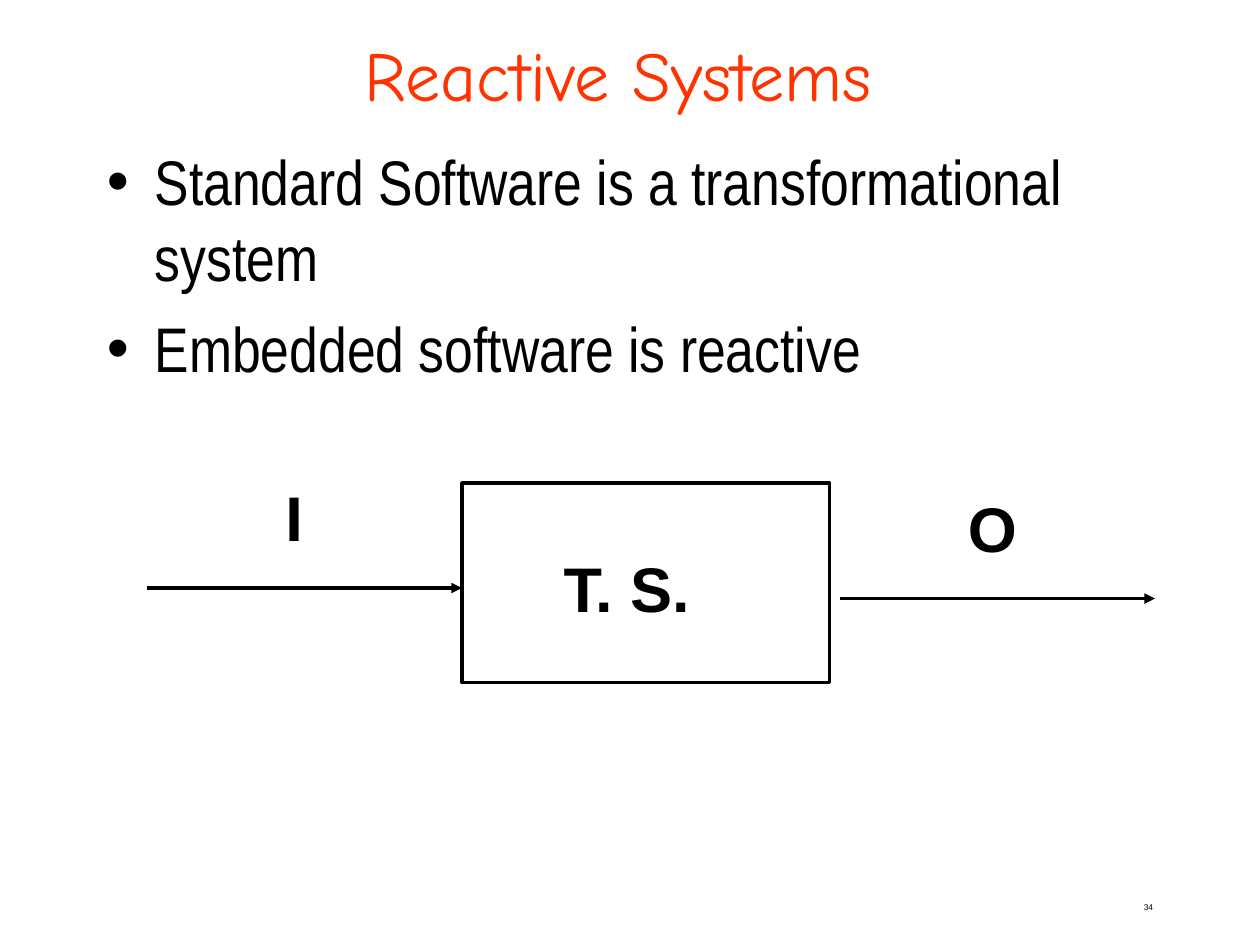
from lxml.etree import SubElement
from pptx import Presentation
from pptx.dml.color import RGBColor
from pptx.enum.shapes import MSO_CONNECTOR, MSO_SHAPE
from pptx.enum.text import MSO_ANCHOR, MSO_AUTO_SIZE, PP_ALIGN
from pptx.oxml.ns import qn
from pptx.util import Inches, Pt

BLACK = RGBColor(0x00, 0x00, 0x00)
ORANGE_RED = RGBColor(0xFF, 0x33, 0x00)
TITLE_FONT, BODY_FONT, LABEL_FONT = "Comic Neue", "Arial Narrow", "Arial"

COLUMNS, ROWS = 120, 90  # grid cells across and down the slide
CELL = Inches(10) / COLUMNS


def grid(*cells):
    """Turn columns and rows into slide lengths."""
    return [round(cell * CELL) for cell in cells]


def write(paragraph, text, font=LABEL_FONT, size=36, color=BLACK, bold=False,
          align=PP_ALIGN.LEFT, line_spacing=None):
    paragraph.alignment = align
    if line_spacing:
        paragraph.line_spacing = line_spacing
    run = paragraph.add_run()
    run.text = text
    run.font.name = font
    run.font.size = Pt(size)
    run.font.color.rgb = color
    run.font.bold = bold


def add_text_frame(slide, box, wrap=True):
    frame = slide.shapes.add_textbox(*grid(*box)).text_frame
    frame.word_wrap = wrap
    return frame


def add_label(slide, box, text, wrap=True):
    frame = add_text_frame(slide, box, wrap)
    frame.auto_size = MSO_AUTO_SIZE.SHAPE_TO_FIT_TEXT
    write(frame.paragraphs[0], text, bold=True)


def add_bullet(paragraph, indent):
    properties = paragraph._p.get_or_add_pPr()
    properties.set("marL", str(indent))
    properties.set("indent", str(-indent))
    color = SubElement(properties, qn("a:buClr"))
    SubElement(color, qn("a:srgbClr"), val=str(BLACK))
    SubElement(properties, qn("a:buFont"), typeface=LABEL_FONT)
    SubElement(properties, qn("a:buChar"), char="•")


def add_arrow(slide, left, row, width):
    arrow = slide.shapes.add_connector(
        MSO_CONNECTOR.STRAIGHT, *grid(left, row, left + width, row))
    arrow.line.color.rgb = BLACK
    arrow.line.width = Pt(2)
    SubElement(arrow.line._get_or_add_ln(), qn("a:tailEnd"), type="triangle")
    SubElement(arrow._element.spPr, qn("a:effectLst"))


def place_title(slide, box, text):
    title = slide.shapes.title
    title.left, title.top, title.width, title.height = grid(*box)
    frame = title.text_frame
    frame.vertical_anchor = MSO_ANCHOR.MIDDLE
    frame.auto_size = MSO_AUTO_SIZE.NONE
    write(frame.paragraphs[0], text, font=TITLE_FONT, size=40,
          color=ORANGE_RED, align=PP_ALIGN.CENTER)


def place_bullets(slide, box, items):
    frame = add_text_frame(slide, box)
    for index, item in enumerate(items):
        paragraph = frame.add_paragraph() if index else frame.paragraphs[0]
        if index:
            paragraph.space_before = Pt(9)
        add_bullet(paragraph, Inches(0.38))
        write(paragraph, item, font=BODY_FONT)


def place_diagram(slide, box):
    """Input arrow, system box and output arrow, left to right."""
    left, top, width, height = box
    arrow_width = 30
    system_left = left + arrow_width
    output_left = left + width - arrow_width

    # Transformational system
    system = slide.shapes.add_shape(
        MSO_SHAPE.RECTANGLE, *grid(system_left, top, 35, height))
    system.shadow.inherit = False
    system.fill.background()
    system.line.color.rgb = BLACK
    system.line.width = Pt(2)

    # Input and output
    add_arrow(slide, left, top + 10, arrow_width)
    add_arrow(slide, output_left, top + 11, arrow_width)

    # Labels
    add_label(slide, (system_left + 8.5, top + 5.75, 15, 8.4), "T. S.")
    add_label(slide, (left + 12, top - 1, 4, 8.4), "I", wrap=False)
    add_label(slide, (output_left + 11, top, 9.25, 8.4), "O")


def place_page_number(slide, box, number):
    frame = add_text_frame(slide, box)
    write(frame.paragraphs[0], number, size=4.8, align=PP_ALIGN.RIGHT,
          line_spacing=0.8)


def main():
    presentation = Presentation()
    presentation.slide_width, presentation.slide_height = grid(COLUMNS, ROWS)
    slide = presentation.slides.add_slide(presentation.slide_layouts[5])

    place_page_number(slide, (86, 85.5, 25, 2.4), "34")
    place_title(slide, (9, 3, 102, 8), "Reactive Systems ")
    place_bullets(slide, (9, 13, 102, 57), [
        "Standard Software is a transformational system",
        "Embedded software is reactive",
    ])
    place_diagram(slide, (14, 46, 96, 19))

    presentation.save("out.pptx")


if __name__ == "__main__":
    main()
